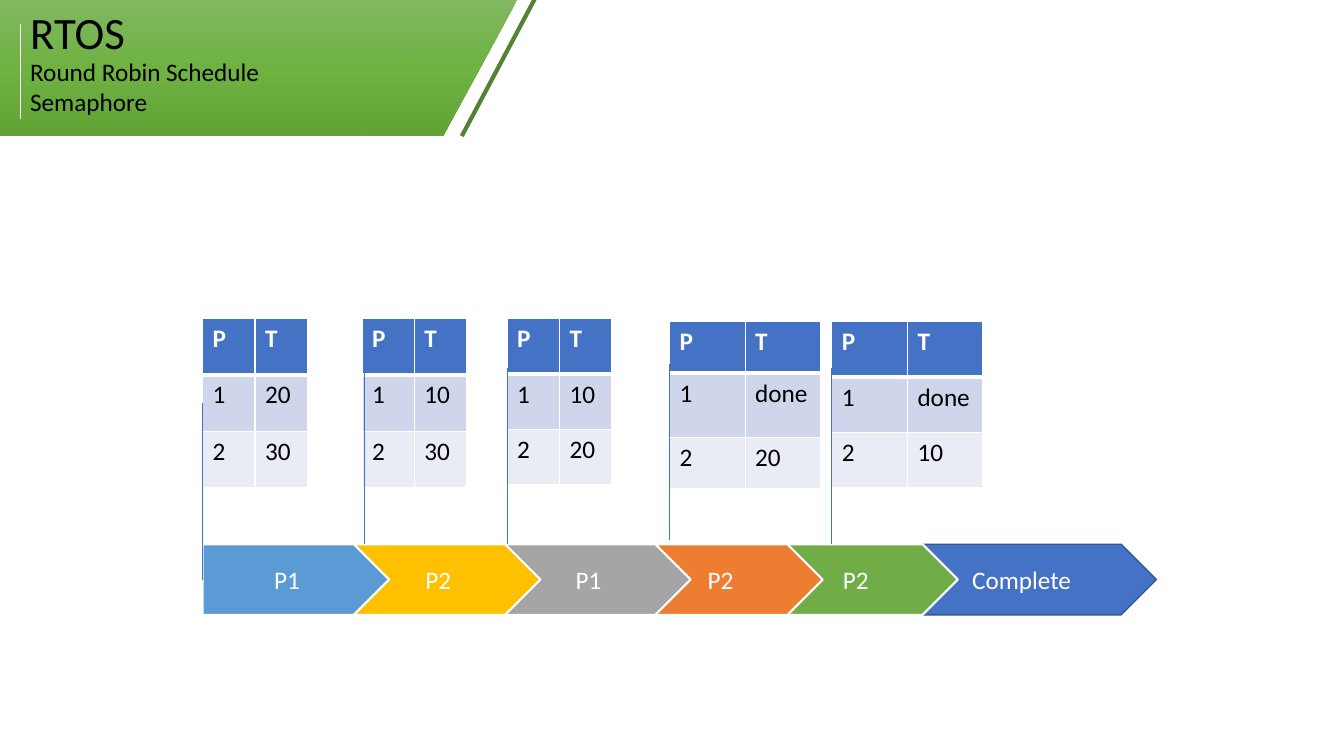
import copy
from dataclasses import dataclass

import pptx
import pptx.dml.color
import pptx.enum.shapes
import pptx.enum.text
import pptx.oxml
import pptx.oxml.ns
import pptx.util
from pptx.util import Inches

SHAPE = pptx.enum.shapes.MSO_SHAPE
ALIGN = pptx.enum.text.PP_ALIGN
ANCHOR = pptx.enum.text.MSO_ANCHOR


@dataclass(frozen=True)
class Theme:
    font: str = "Calibri"
    title_size: int = 32
    body_size: int = 18
    black: str = "000000"
    white: str = "FFFFFF"
    blue: str = "4472C4"
    dark_blue: str = "325491"
    dark_green: str = "548235"
    banner: tuple = ("81B861", "6FB242", "62A336")
    bands: tuple = ("CFD5EA", "E9EBF5")
    stages: tuple = ("5B9BD5", "FFC000", "A5A5A5", "ED7D31", "70AD47")


THEME = Theme()

STAGES = [("P1", 2.01), ("P2", 3.51), ("P1", 5), ("P2", 6.31), ("P2", 7.65)]
STAGE_TOP, STAGE_WIDTH, STAGE_HEIGHT = 5.4, 1.85, 0.7

EVEN, LOW, TALL_MIDDLE = (0.56,) * 3, (0.55,) * 3, (0.51, 0.64, 0.51)
QUEUES = [
    (2.01, 3.16, 0.52, EVEN, ("20", "30")),
    (3.59, 3.16, 0.52, EVEN, ("10", "30")),
    (5.03, 3.16, 0.52, LOW, ("10", "20")),
    (6.64, 3.19, 0.75, TALL_MIDDLE, ("done", "20")),
    (8.25, 3.19, 0.75, LOW, ("done", "10")),
]
MARKERS = [(2.01, 5.75), (3.61, 5.4), (5.03, 5.4), (6.64, 5.36), (8.25, 5.4)]
MARKER_LENGTH = 1.75


def rgb(color):
    return pptx.dml.color.RGBColor.from_string(color)


def write_text(frame, text, size=THEME.body_size, color=THEME.black, bold=False,
               align=ALIGN.LEFT, anchor=ANCHOR.TOP):
    frame.word_wrap = True
    frame.vertical_anchor = anchor
    for index, line in enumerate(text.split("\n")):
        paragraph = frame.paragraphs[0] if index == 0 else frame.add_paragraph()
        paragraph.alignment = align
        paragraph.line_spacing = 1.0
        paragraph.space_before = pptx.util.Pt(0)
        run = paragraph.add_run()
        run.text = line
        run.font.name = THEME.font
        run.font.size = pptx.util.Pt(size)
        run.font.bold = bold
        run.font.color.rgb = rgb(color)


def add_line(slide, start, end, color, width):
    line = slide.shapes.add_connector(
        pptx.enum.shapes.MSO_CONNECTOR.STRAIGHT, *map(Inches, start + end))
    line.line.color.rgb = rgb(color)
    line.line.width = pptx.util.Pt(width)
    properties = line.element.find(pptx.oxml.ns.qn("p:spPr"))
    properties.append(pptx.oxml.parse_xml(
        f"<a:effectLst {pptx.oxml.ns.nsdecls('a')}/>"))
    return line


def add_banner_part(slide, kind, left, width):
    shape = slide.shapes.add_shape(
        kind, Inches(left), Inches(0), Inches(width), Inches(1.35))
    shape.shadow.inherit = False
    shape.line.fill.background()
    shape.fill.gradient()
    shape.fill.gradient_angle = 270
    stops = shape.element.find(".//" + pptx.oxml.ns.qn("a:gsLst"))
    stops.append(copy.deepcopy(stops[0]))
    for index, stop in enumerate(shape.fill.gradient_stops):
        stop.position = index / 2
        stop.color.rgb = rgb(THEME.banner[index])
    return shape


def add_header(slide):
    add_banner_part(slide, SHAPE.RECTANGLE, -0.01, 4.38)
    add_line(slide, (5.49, -0.36), (4.58, 1.35), THEME.dark_green, 3)
    slant = add_banner_part(slide, SHAPE.PARALLELOGRAM, 3.61, 1.52)
    slant.adjustments[0] = 0.546

    title = slide.shapes.title
    title.left, title.top = Inches(0.2), Inches(0)
    title.width, title.height = Inches(1.3), Inches(0.64)
    write_text(title.text_frame, "RTOS", size=THEME.title_size)
    slant.element.addnext(title.element)

    add_line(slide, (0.2, 0.24), (0.2, 1.18), THEME.white, 0.5)
    subtitle = slide.shapes.add_textbox(
        Inches(0.2), Inches(0.51), Inches(2.51), Inches(0.71))
    write_text(subtitle.text_frame, "Round Robin Schedule\nSemaphore")


def set_borders(cell, header_edge):
    properties = cell._tc.get_or_add_tcPr()
    widths = {"L": 1, "R": 1, "T": 1, "B": 1}
    if header_edge:
        widths[header_edge] = 3
    for index, (side, width) in enumerate(widths.items()):
        properties.insert(index, pptx.oxml.parse_xml(
            f'<a:ln{side} {pptx.oxml.ns.nsdecls("a")} w="{pptx.util.Pt(width)}">'
            f'<a:solidFill><a:srgbClr val="{THEME.white}"/></a:solidFill></a:ln{side}>'))


def add_queue_table(slide, left, top, column_width, row_heights, times):
    rows = [("P", "T"), ("1", times[0]), ("2", times[1])]
    table = slide.shapes.add_table(
        len(rows), 2, Inches(left), Inches(top),
        Inches(2 * column_width), Inches(sum(row_heights))).table
    for column in table.columns:
        column.width = Inches(column_width)
    fills = (THEME.blue,) + THEME.bands
    for row_index, values in enumerate(rows):
        table.rows[row_index].height = Inches(row_heights[row_index])
        header = row_index == 0
        for column_index, value in enumerate(values):
            cell = table.cell(row_index, column_index)
            cell.fill.solid()
            cell.fill.fore_color.rgb = rgb(fills[row_index])
            set_borders(cell, {0: "B", 1: "T"}.get(row_index))
            write_text(cell.text_frame, value, bold=header,
                       color=THEME.white if header else THEME.black)


def add_stage(slide, text, left, fill, width=STAGE_WIDTH, outline=THEME.white,
              outline_width=1.5):
    stage = slide.shapes.add_shape(
        SHAPE.PENTAGON, Inches(left), Inches(STAGE_TOP),
        Inches(width), Inches(STAGE_HEIGHT))
    stage.shadow.inherit = False
    stage.fill.solid()
    stage.fill.fore_color.rgb = rgb(fill)
    stage.line.color.rgb = rgb(outline)
    stage.line.width = pptx.util.Pt(outline_width)
    write_text(stage.text_frame, text, color=THEME.white,
               align=ALIGN.CENTER, anchor=ANCHOR.MIDDLE)
    return stage


def main():
    presentation = pptx.Presentation()
    presentation.slide_width = Inches(13.33)
    presentation.slide_height = Inches(7.5)
    slide = presentation.slides.add_slide(
        presentation.slide_layouts.get_by_name("Title Only"))

    add_header(slide)
    for queue in QUEUES:
        add_queue_table(slide, *queue)

    add_stage(slide, "Complete", 8.97, THEME.blue, width=2.5,
              outline=THEME.dark_blue, outline_width=1)
    for (text, left), fill in reversed(list(zip(STAGES, THEME.stages))):
        first_stage = add_stage(slide, text, left, fill)

    markers = [add_line(slide, (x, y), (x, y - MARKER_LENGTH), THEME.blue, 0.5)
               for x, y in MARKERS]
    markers[0].begin_connect(first_stage, 1)

    presentation.save("out.pptx")


if __name__ == "__main__":
    main()
